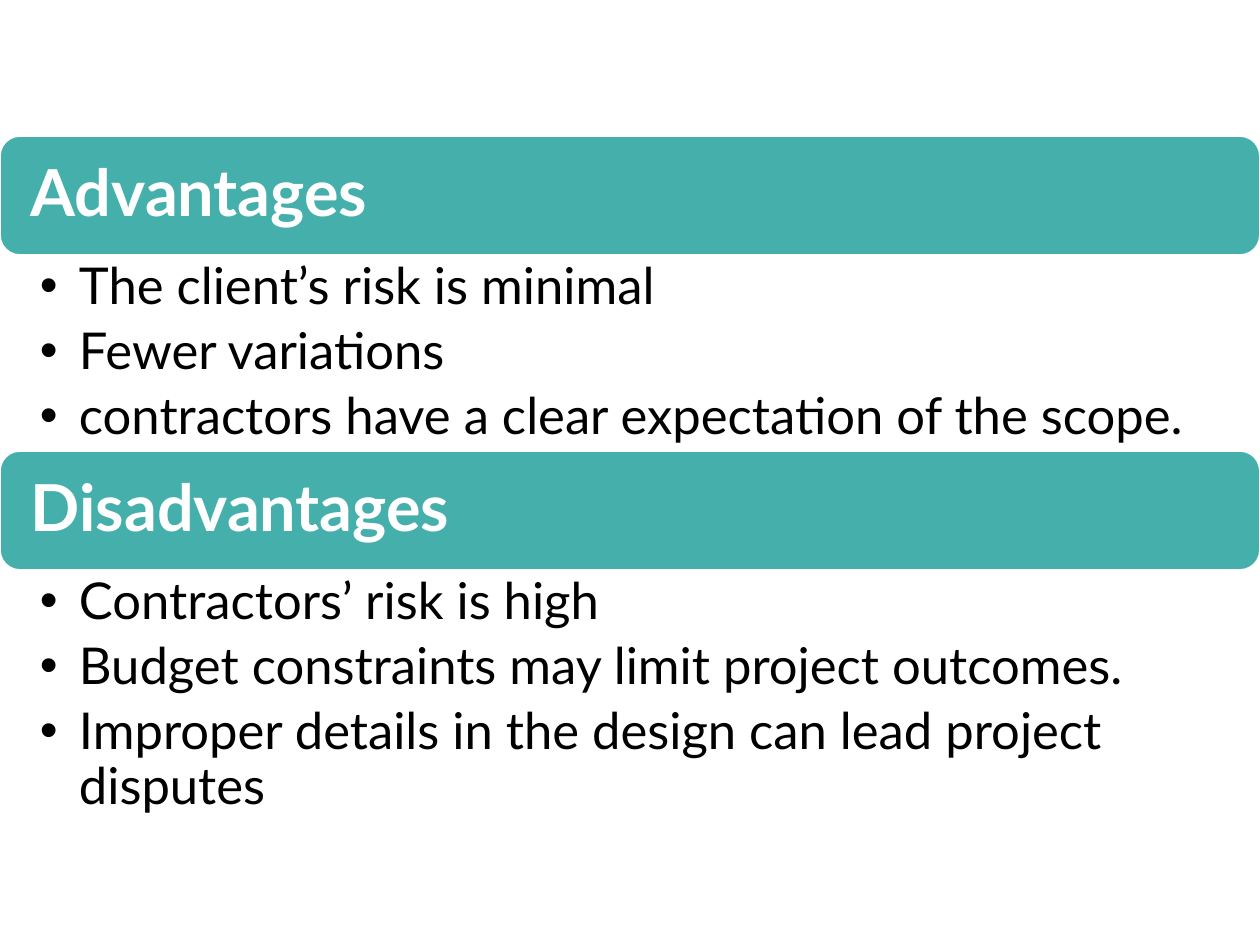
from pptx import Presentation
from pptx.dml.color import RGBColor
from pptx.enum.shapes import MSO_SHAPE as Shape
from pptx.enum.text import MSO_ANCHOR as Anchor, MSO_AUTO_SIZE as AutoSize, PP_ALIGN as Align
from pptx.util import Pt

PX = 914400 // 126
WIDTH, HEIGHT = 1260, 945
HEADING_HEIGHT = 119
TEAL = RGBColor(0x45, 0xB0, 0xAB)
WHITE = RGBColor(0xFF, 0xFF, 0xFF)
BLACK = RGBColor(0x00, 0x00, 0x00)

HEADING_FONT = {"name": "Lato", "size": Pt(37), "bold": True}
LIST_FONT = {"name": "Lato", "size": Pt(29), "bold": False}
HEADING_PARAGRAPH = {"alignment": Align.LEFT, "line_spacing": 0.9}
LIST_PARAGRAPH = {"alignment": Align.LEFT, "line_spacing": 0.9,
                  "space_before": Pt(0), "space_after": Pt(5.8)}
HEADING_FRAME = {"word_wrap": True, "vertical_anchor": Anchor.MIDDLE,
                 "margin_left": 25 * PX, "margin_right": 25 * PX,
                 "margin_top": 19 * PX, "margin_bottom": 19 * PX}
LIST_FRAME = {"word_wrap": True, "vertical_anchor": Anchor.TOP, "auto_size": AutoSize.NONE,
              "margin_left": 40 * PX, "margin_right": 37 * PX,
              "margin_top": 6 * PX, "margin_bottom": 6 * PX}
LIST_INDENT = 39 * PX

SECTIONS = [
    ("Advantages", (0, 136, WIDTH, 315),
     ["The client’s risk is minimal",
      "Fewer variations",
      "contractors have a clear expectation of the scope."]),
    ("Disadvantages", (0, 451, WIDTH, 367),
     ["Contractors’ risk is high",
      "Budget constraints may limit project outcomes.",
      "Improper details in the design can lead project disputes"]),
]


def apply_format(target, values):
    """Set each attribute named in values on the target."""
    for name, value in values.items():
        setattr(target, name, value)


def write_paragraph(paragraph, text, paragraph_format, font_format, color):
    """Fill one paragraph with formatted text."""
    paragraph.text = text
    apply_format(paragraph, paragraph_format)
    font = paragraph.runs[0].font
    apply_format(font, font_format)
    font.color.rgb = color


def add_heading(slide, box, text):
    """Draw the rounded heading bar in the box."""
    bar = slide.shapes.add_shape(Shape.ROUNDED_RECTANGLE, *(length * PX for length in box))
    bar.shadow.inherit = False
    bar.fill.solid()
    bar.fill.fore_color.rgb = TEAL
    bar.line.color.rgb = WHITE
    bar.line.width = Pt(1)
    apply_format(bar.text_frame, HEADING_FRAME)
    write_paragraph(bar.text_frame.paragraphs[0], text, HEADING_PARAGRAPH, HEADING_FONT, WHITE)


def fill_list(placeholder, box, items):
    """Move the body placeholder to the box and write its bulleted items."""
    apply_format(placeholder, dict(zip(("left", "top", "width", "height"),
                                       (length * PX for length in box))))
    frame = placeholder.text_frame
    apply_format(frame, LIST_FRAME)
    for index, item in enumerate(items):
        paragraph = frame.add_paragraph() if index else frame.paragraphs[0]
        write_paragraph(paragraph, item, LIST_PARAGRAPH, LIST_FONT, BLACK)
        properties = paragraph._p.get_or_add_pPr()
        properties.set("marL", str(LIST_INDENT))
        properties.set("indent", str(-LIST_INDENT))


def add_section(slide, placeholder, box, heading, items):
    """Stack a heading bar and its list inside the box."""
    left, top, width, height = box
    add_heading(slide, (left, top, width, HEADING_HEIGHT), heading)
    list_box = (left, top + HEADING_HEIGHT, width, height - HEADING_HEIGHT)
    fill_list(placeholder, list_box, items)


def main():
    """Build and save the slide of advantages and disadvantages."""
    presentation = Presentation()
    presentation.slide_width = WIDTH * PX
    presentation.slide_height = HEIGHT * PX
    slide = presentation.slides.add_slide(presentation.slide_layouts.get_by_name("Two Content"))
    title, *bodies = list(slide.placeholders)[:3]
    title.element.getparent().remove(title.element)
    for body, (heading, box, items) in zip(bodies, SECTIONS):
        add_section(slide, body, box, heading, items)
    presentation.save("out.pptx")


if __name__ == "__main__":
    main()
